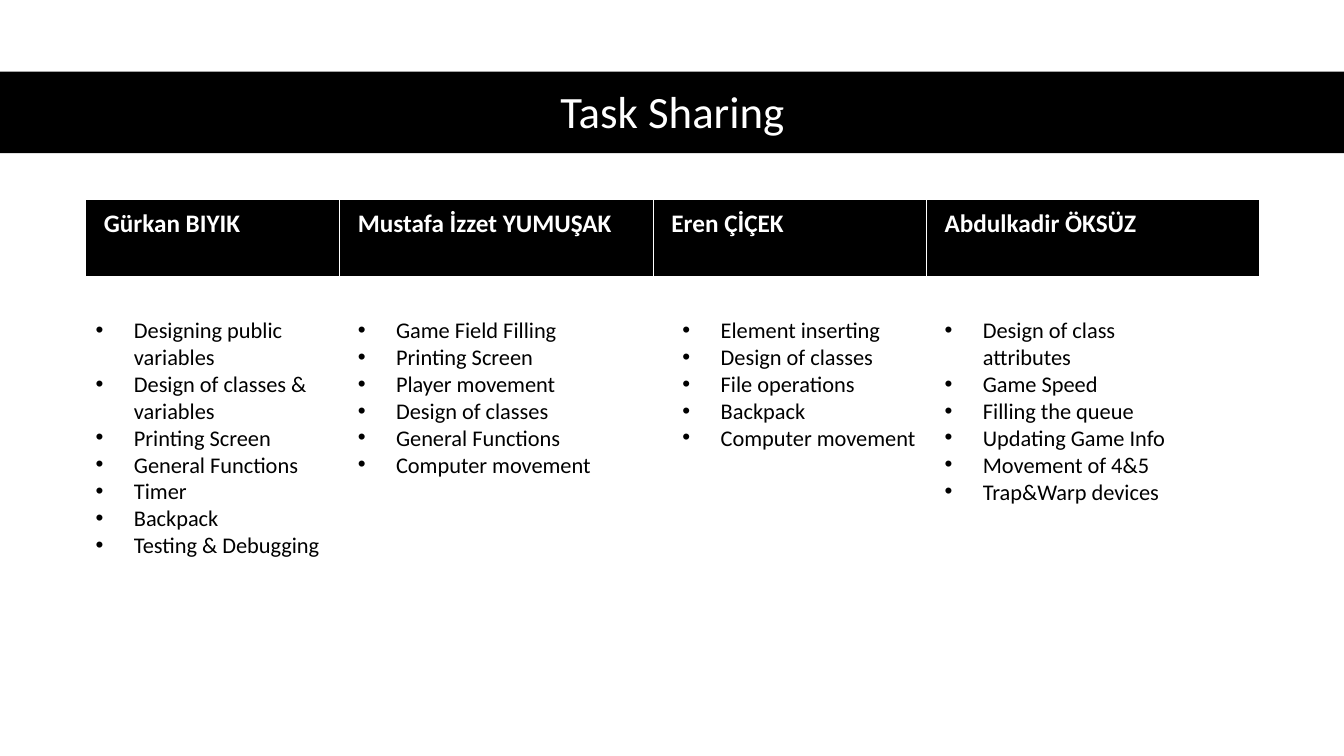
import dataclasses

import pptx
import pptx.dml.color
import pptx.enum.shapes
import pptx.enum.text
import pptx.oxml
import pptx.oxml.ns
import pptx.slide
import pptx.table
import pptx.text.text
import pptx.util

Inches = pptx.util.Inches
BLACK, WHITE = "000000", "FFFFFF"
FONT = "Calibri"
SLIDE_WIDTH = 13.33
TASKS_TOP, TASKS_WIDTH, LINE_HEIGHT = 3.09, 2.61, 0.27
BULLET_INDENT = Inches(0.38)
BORDER_WIDTHS = {"lnL": 1, "lnR": 1, "lnT": 1, "lnB": 3}


@dataclasses.dataclass
class Member:
    """A team member with a header column and a list of tasks."""
    name: str
    column_width: float
    tasks_left: float
    line_count: int
    tasks: list[str]


MEMBERS = [
    Member("Gürkan BIYIK", 2.52, 0.85, 9, [
        "Designing public variables", "Design of classes & variables",
        "Printing Screen", "General Functions", "Timer", "Backpack",
        "Testing & Debugging"]),
    Member("Mustafa İzzet YUMUŞAK", 3.11, 3.45, 6, [
        "Game Field Filling", "Printing Screen", "Player movement",
        "Design of classes", "General Functions", "Computer movement"]),
    Member("Eren ÇİÇEK", 2.71, 6.67, 5, [
        "Element inserting", "Design of classes", "File operations",
        "Backpack", "Computer movement"]),
    Member("Abdulkadir ÖKSÜZ", 3.3, 9.27, 7, [
        "Design of class attributes", "Game Speed", "Filling the queue",
        "Updating Game Info", "Movement of 4&5", "Trap&Warp devices"]),
]


def rgb(color: str) -> pptx.dml.color.RGBColor:
    """Turn a hex string into a colour."""
    return pptx.dml.color.RGBColor.from_string(color)


def format_runs(paragraph: pptx.text.text._Paragraph, size: float,
                color: str, bold: bool = False) -> None:
    """Set the font of every run in a paragraph."""
    for run in paragraph.runs:
        run.font.name = FONT
        run.font.size = pptx.util.Pt(size)
        run.font.bold = bold
        run.font.color.rgb = rgb(color)


def add_bullet(paragraph: pptx.text.text._Paragraph) -> None:
    """Give a paragraph a hanging round bullet."""
    properties = paragraph._p.get_or_add_pPr()
    properties.set("marL", str(BULLET_INDENT))
    properties.set("indent", str(-BULLET_INDENT))
    namespace = pptx.oxml.ns.nsdecls("a")
    for bullet_part in ('buFont {} typeface="Arial"', 'buChar {} char="•"'):
        properties.append(pptx.oxml.parse_xml(
            f"<a:{bullet_part.format(namespace)}/>"))


def add_title(slide: pptx.slide.Slide, title: str) -> None:
    """Draw the full-width band and the title over it."""
    band = slide.shapes.add_shape(
        pptx.enum.shapes.MSO_SHAPE.RECTANGLE,
        0, Inches(0.71), Inches(SLIDE_WIDTH), Inches(0.81))
    band.shadow.inherit = False
    band.fill.solid()
    band.fill.fore_color.rgb = rgb(BLACK)
    band.line.fill.background()
    heading = slide.shapes.add_textbox(
        Inches(0.92), Inches(0.74), Inches(11.5), Inches(0.78)).text_frame
    heading.word_wrap = True
    heading.vertical_anchor = pptx.enum.text.MSO_ANCHOR.MIDDLE
    heading.text = title
    paragraph = heading.paragraphs[0]
    paragraph.alignment = pptx.enum.text.PP_ALIGN.CENTER
    paragraph.line_spacing = 0.9
    format_runs(paragraph, 32, WHITE)


def add_borders(cell: pptx.table._Cell) -> None:
    """Put white borders around a cell."""
    properties = cell._tc.get_or_add_tcPr()
    for position, (side, width) in enumerate(BORDER_WIDTHS.items()):
        properties.insert(position, pptx.oxml.parse_xml(
            f'<a:{side} {pptx.oxml.ns.nsdecls("a")} w="{pptx.util.Pt(width)}">'
            f'<a:solidFill><a:srgbClr val="{WHITE}"/></a:solidFill></a:{side}>'))


def add_name_table(slide: pptx.slide.Slide, members: list[Member]) -> None:
    """Draw the one-row table of member names."""
    total_width = sum(member.column_width for member in members)
    names = slide.shapes.add_table(
        1, len(members), Inches(0.85), Inches(1.98),
        Inches(total_width), Inches(0.78)).table
    for index, member in enumerate(members):
        names.columns[index].width = Inches(member.column_width)
        cell = names.cell(0, index)
        cell.margin_left = cell.margin_right = Inches(0.18)
        cell.margin_top = cell.margin_bottom = Inches(0.09)
        cell.fill.solid()
        cell.fill.fore_color.rgb = rgb(BLACK)
        add_borders(cell)
        cell.text_frame.text = member.name
        format_runs(cell.text_frame.paragraphs[0], 18, WHITE, bold=True)


def add_tasks(slide: pptx.slide.Slide, member: Member) -> None:
    """Draw the bulleted tasks of one member."""
    height = 0.1 + LINE_HEIGHT * member.line_count
    tasks = slide.shapes.add_textbox(
        Inches(member.tasks_left), Inches(TASKS_TOP),
        Inches(TASKS_WIDTH), Inches(height)).text_frame
    tasks.word_wrap = True
    tasks.auto_size = pptx.enum.text.MSO_AUTO_SIZE.SHAPE_TO_FIT_TEXT
    tasks.text = "\n".join(member.tasks)
    for paragraph in tasks.paragraphs:
        add_bullet(paragraph)
        format_runs(paragraph, 16, BLACK)


def main() -> None:
    """Build the slide and save it."""
    presentation = pptx.Presentation()
    presentation.slide_width = Inches(SLIDE_WIDTH)
    presentation.slide_height = Inches(7.5)
    slide = presentation.slides.add_slide(presentation.slide_layouts[6])
    add_title(slide, "Task Sharing")
    add_name_table(slide, MEMBERS)
    for member in MEMBERS:
        add_tasks(slide, member)
    presentation.save("out.pptx")


main()
